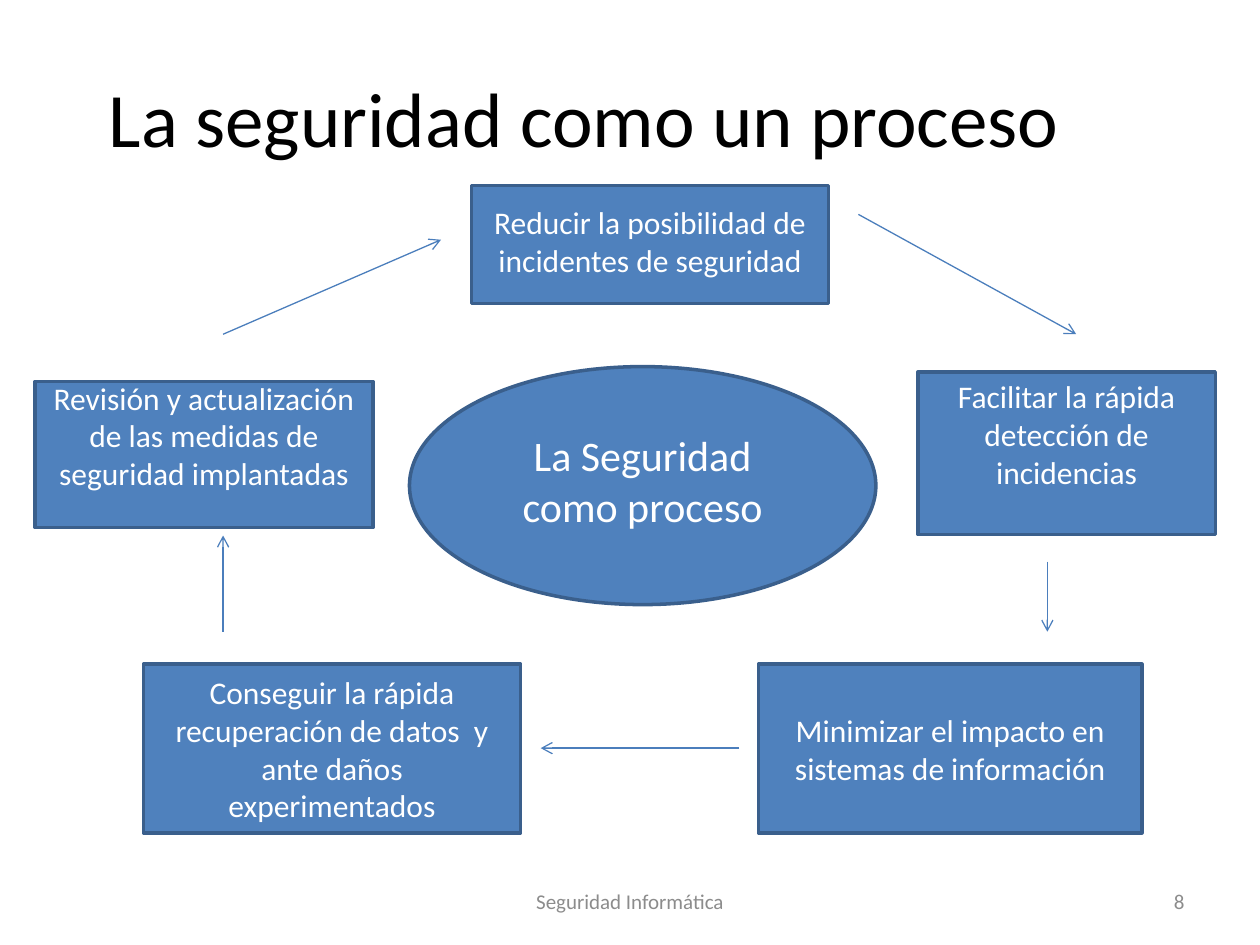
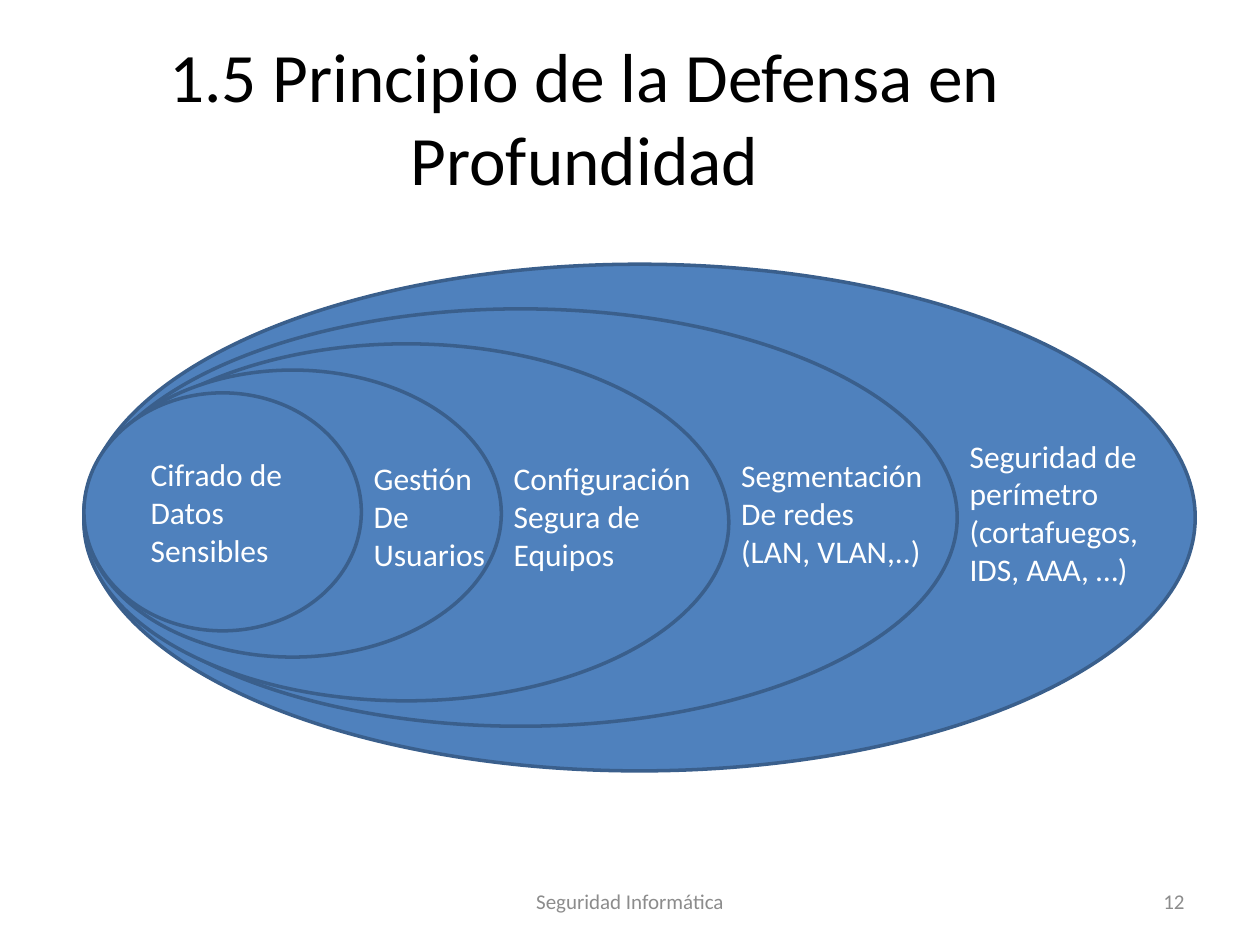
from dataclasses import dataclass

from lxml.etree import SubElement
from pptx import Presentation
from pptx.dml.color import RGBColor as RGB
from pptx.enum.shapes import MSO_CONNECTOR as Connector, MSO_SHAPE as Shape
from pptx.enum.text import MSO_ANCHOR as Anchor, MSO_AUTO_SIZE as AutoSize, PP_ALIGN as Align
from pptx.oxml.ns import qn
from pptx.util import Pt


@dataclass(frozen=True)
class Theme:
    font: str = "Calibri"
    ink: RGB = RGB(0, 0, 0)
    white: RGB = RGB(255, 255, 255)
    muted: RGB = RGB(0x8C, 0x8C, 0x8C)
    fill: RGB = RGB(0x4F, 0x81, 0xBD)
    outline: RGB = RGB(0x3A, 0x5F, 0x8C)
    arrow: RGB = RGB(0x4B, 0x7E, 0xBC)
    body: float = 18
    center: float = 24
    footer: float = 12
    outline_width: float = 2
    arrow_width: float = 0.75


THEME = Theme()
TITLE_AREA = (36, 21.6, 596, 90)
FOOTER_AREA = (246, 500.5, 228, 28.8)
NUMBER_AREA = (516, 500.5, 168, 28.8)
FOOTER = "Seguridad Informática"

PROCESS_TITLE = ("La seguridad como un proceso", 44, 8)
PROCESS_CENTER = ("La Seguridad como proceso", (234, 209.5, 266.5, 136), 6)
PROCESS_STEPS = [
    ("Reducir la posibilidad de incidentes de seguridad", (269.5, 106, 204, 67.5), 4),
    ("Facilitar la rápida detección de incidencias", (524.5, 212.5, 170, 93), 22),
    ("Minimizar el impacto en sistemas de información", (433.5, 379.5, 219, 96.5), 0),
    ("Conseguir la rápida recuperación de datos  y ante daños experimentados",
     (82, 379.5, 215.5, 96.5), 0),
    ("Revisión y actualización de las medidas de seguridad implantadas",
     (20, 218, 193, 83.5), 22),
]
PROCESS_ARROWS = [
    (127.5, 191, 252, 137),
    (490.5, 122.5, 615, 191),
    (598.5, 321, 598.5, 361),
    (422.5, 427.5, 309, 427.5),
    (127.5, 361, 127.5, 306),
]

DEFENSE_TITLE = ("1.5 Principio de la Defensa en Profundidad", 39.6, 12)
RING_LEFT = 48
CORE_LABEL_LEFT = 79
DEFENSE_RINGS = [
    (["Seguridad de perímetro (cortafuegos, IDS, AAA, …)"], (151, 635, 289.5), (246, 119, 94)),
    (["Segmentación", "De redes", "(LAN, VLAN,..)"], (176.5, 499, 238.5), (257, 119, 73)),
    (["Configuración", "Segura de", "Equipos"], (196.5, 368.5, 204), (259, 119, 73)),
    (["Gestión", "De", "Usuarios"], (211.5, 238.5, 164), (259, 91, 73)),
    (["Cifrado de", "Datos", "Sensibles"], (224.5, 158.5, 136), (256.5, 96.5, 73)),
]


def points(values):
    return [Pt(value) for value in values]


def write(frame, lines, size, color, align, anchor=Anchor.MIDDLE):
    frame.word_wrap = True
    frame.auto_size = AutoSize.NONE
    frame.vertical_anchor = anchor
    frame.text = "\n".join(lines)
    for paragraph in frame.paragraphs:
        paragraph.alignment = align
        font = paragraph.font
        font.name, font.size, font.color.rgb = THEME.font, Pt(size), color


def add_text(slide, area, lines, size, color, align, anchor=Anchor.MIDDLE):
    frame = slide.shapes.add_textbox(*points(area)).text_frame
    write(frame, lines, size, color, align, anchor)


def add_block(slide, kind, area):
    block = slide.shapes.add_shape(kind, *points(area))
    block.shadow.inherit = False
    block.fill.solid()
    block.fill.fore_color.rgb = THEME.fill
    block.line.color.rgb = THEME.outline
    block.line.width = Pt(THEME.outline_width)
    return block


def add_step(slide, kind, text, area, lift, size):
    frame = add_block(slide, kind, area).text_frame
    frame.margin_top, frame.margin_bottom = 0, Pt(lift)
    write(frame, [text], size, THEME.white, Align.CENTER)


def add_arrow(slide, ends):
    arrow = slide.shapes.add_connector(Connector.STRAIGHT, *points(ends))
    arrow.line.color.rgb = THEME.arrow
    arrow.line.width = Pt(THEME.arrow_width)
    SubElement(arrow.line._get_or_add_ln(), qn("a:tailEnd"), type="arrow")
    SubElement(arrow._element.spPr, qn("a:effectLst"))


def add_slide(deck, heading, number):
    text, size, page = heading[0], heading[1], number
    slide = deck.slides.add_slide(deck.slide_layouts[5])
    title = slide.shapes.title
    title.left, title.top, title.width, title.height = points(TITLE_AREA)
    write(title.text_frame, [text], size, THEME.ink, Align.CENTER)
    add_text(slide, FOOTER_AREA, [FOOTER], THEME.footer, THEME.muted, Align.CENTER)
    add_text(slide, NUMBER_AREA, [str(page)], THEME.footer, THEME.muted, Align.RIGHT)
    return slide


def build_process(deck):
    slide = add_slide(deck, PROCESS_TITLE, PROCESS_TITLE[2])
    add_step(slide, Shape.OVAL, *PROCESS_CENTER, THEME.center)
    for step in PROCESS_STEPS:
        add_step(slide, Shape.RECTANGLE, *step, THEME.body)
    for ends in PROCESS_ARROWS:
        add_arrow(slide, ends)


def build_defense(deck):
    slide = add_slide(deck, DEFENSE_TITLE, DEFENSE_TITLE[2])
    inner_edges = [RING_LEFT + ring[1] for _, ring, _ in DEFENSE_RINGS[1:]]
    label_lefts = inner_edges + [CORE_LABEL_LEFT]
    for (lines, ring, label), label_left in zip(DEFENSE_RINGS, label_lefts):
        add_block(slide, Shape.OVAL, (RING_LEFT, *ring))
        add_text(slide, (label_left, *label), lines, THEME.body, THEME.white,
                 Align.LEFT, Anchor.TOP)


deck = Presentation()
deck.slide_width, deck.slide_height = Pt(720), Pt(540)
build_process(deck)
build_defense(deck)
deck.save("out.pptx")
